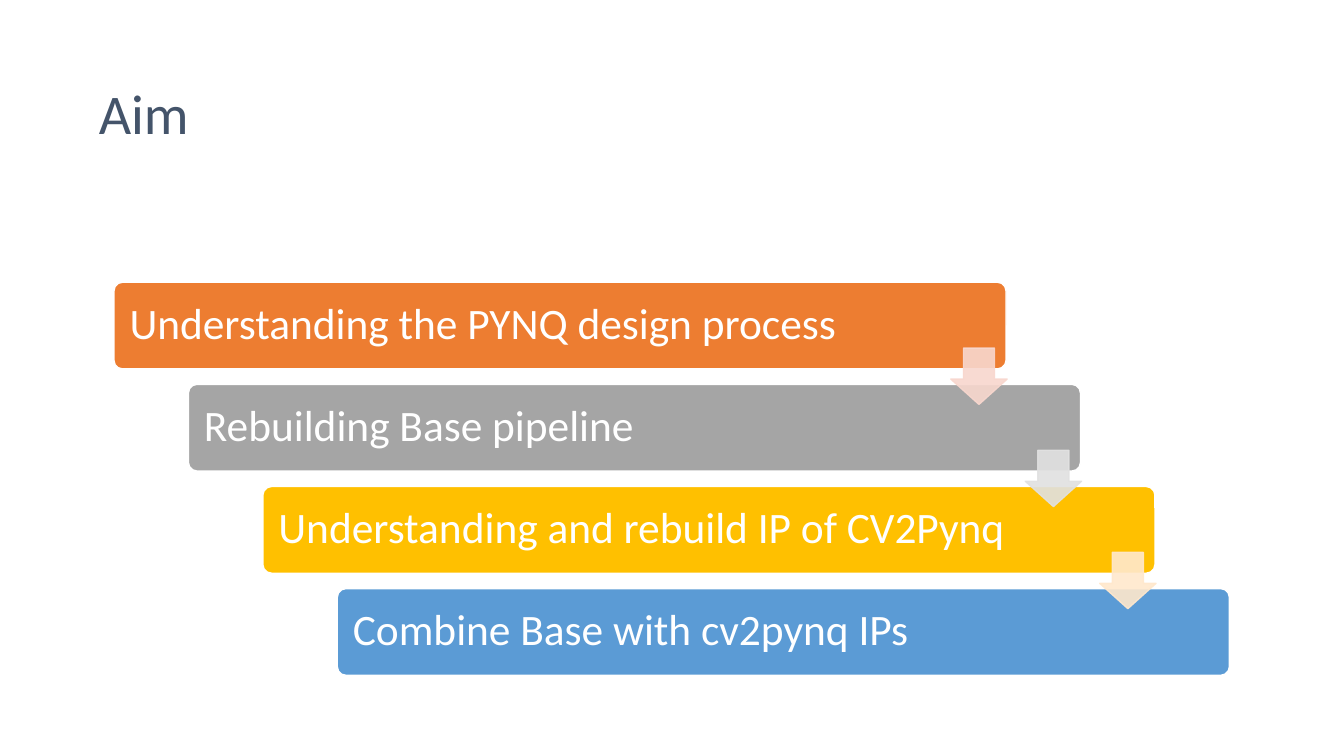
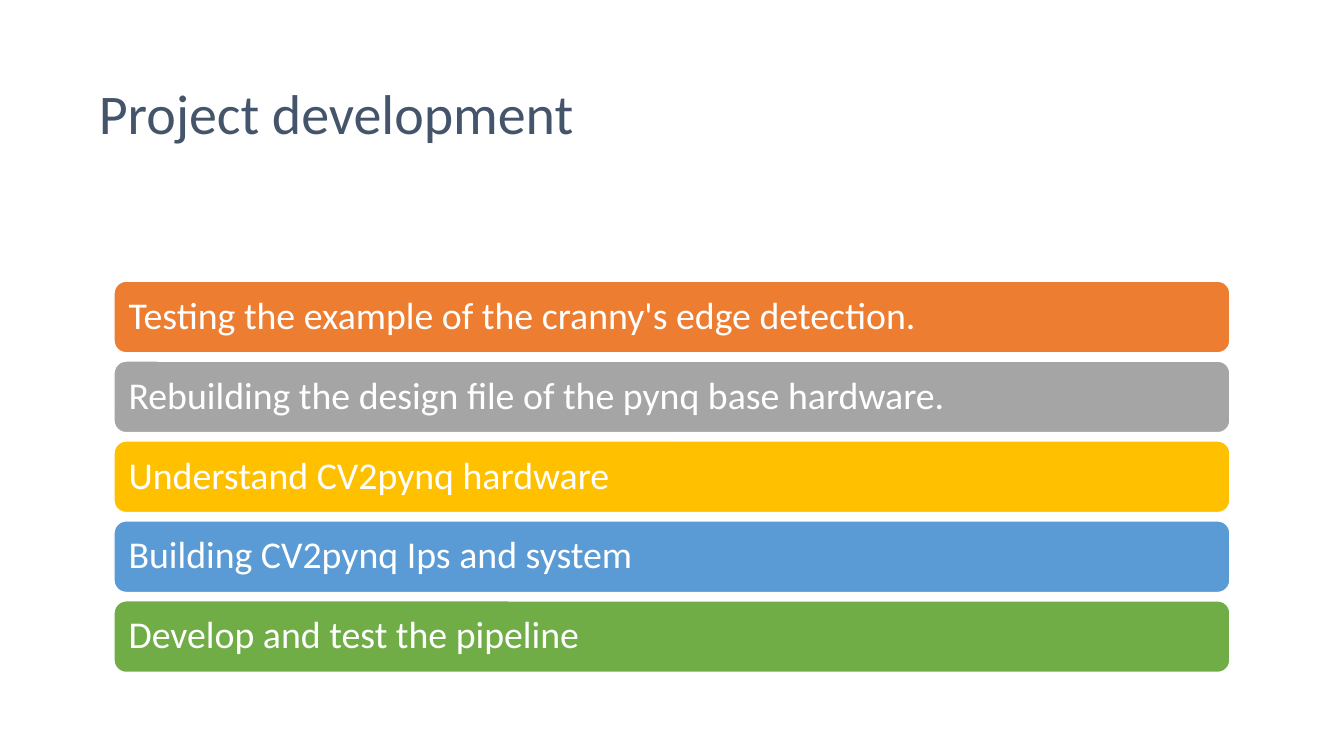
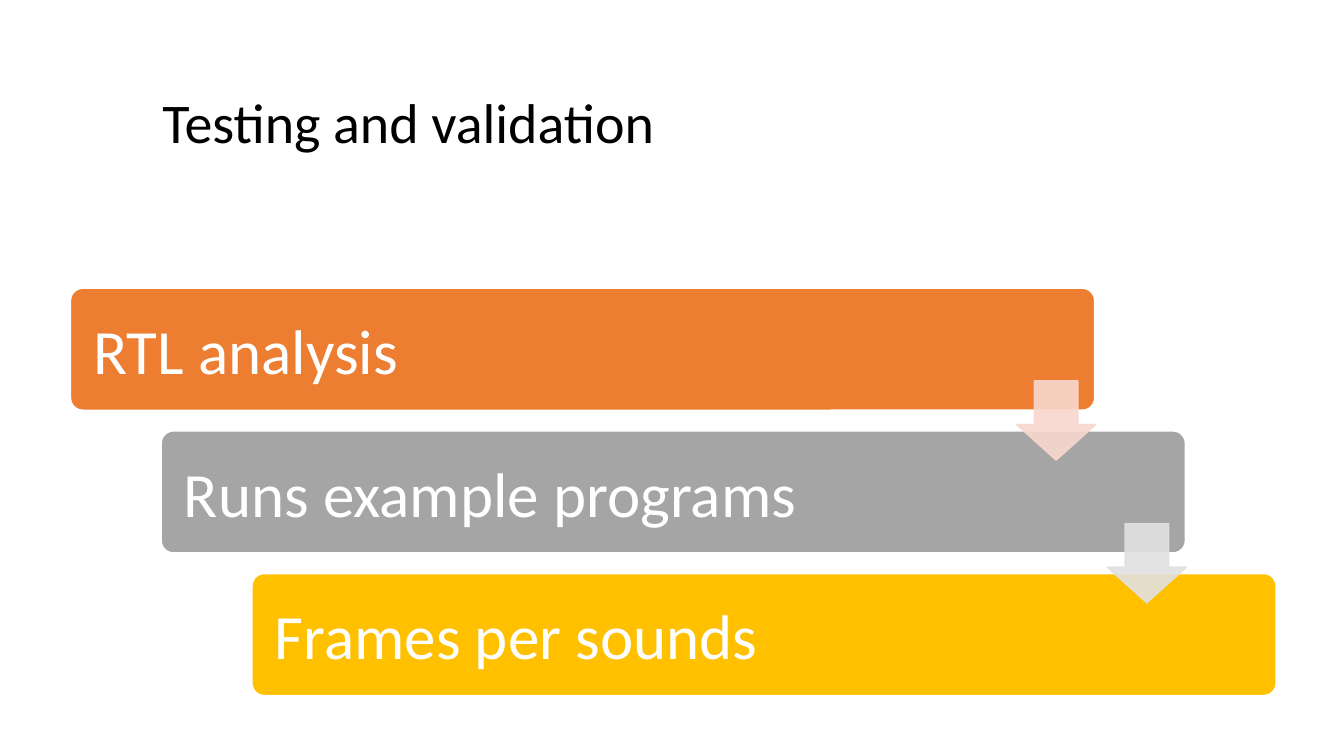
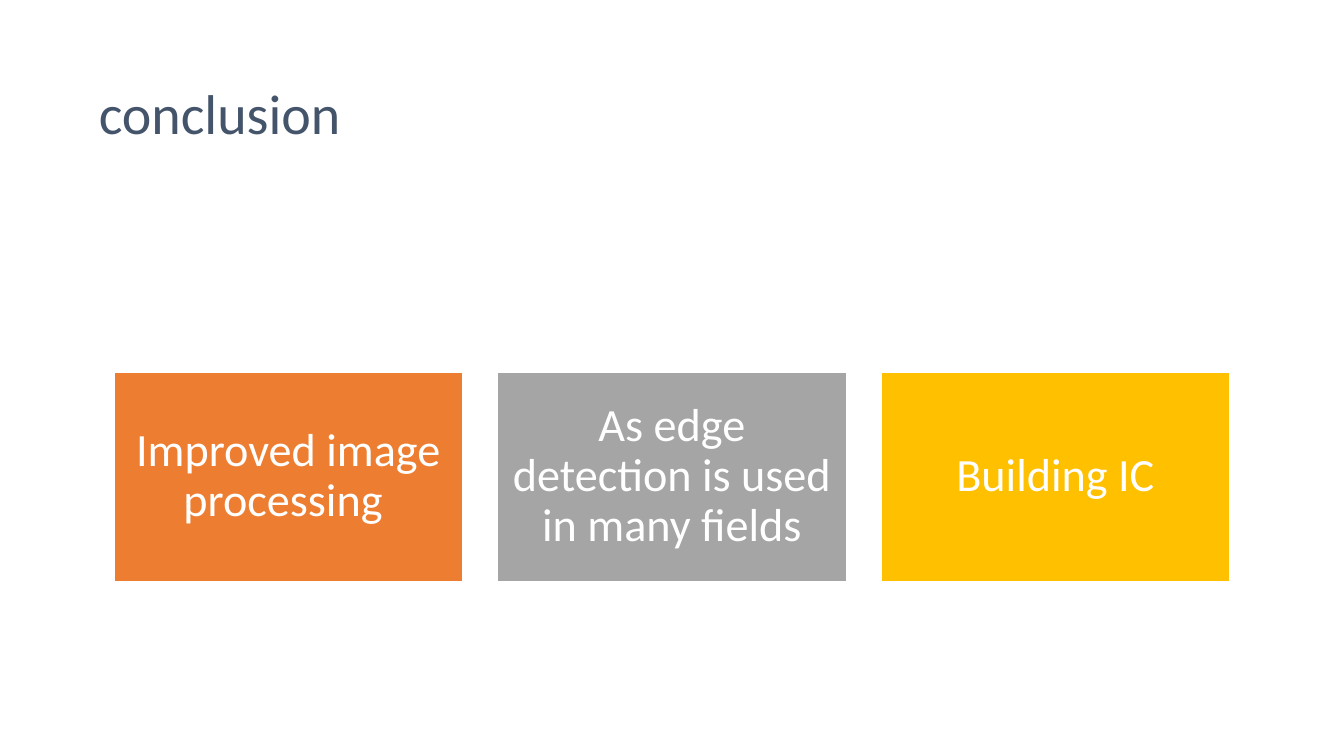
"""Build four project slides: two staircases, a stack of bars and a row of cards."""
import pptx
import pptx.dml.color
import pptx.enum.shapes
import pptx.enum.text
import pptx.oxml.ns
import pptx.util
import lxml.etree

deck = pptx.Presentation()
deck.slide_width = pptx.util.Inches(13.333)
deck.slide_height = pptx.util.Inches(7.5)
COL = deck.slide_width / 100
ROW = deck.slide_height / 100

KIND = pptx.enum.shapes.MSO_SHAPE
SIDE = pptx.enum.text.PP_ALIGN
FILLS = ["ED7D31", "A5A5A5", "FFC000", "5B9BD5", "70AD47"]
TINTS = ["F8D7CE", "E1E1E1", "FFE8CC"]
NAVY, BLACK, WHITE = "44546A", "000000", "FFFFFF"
HEAD = (6.6, 6.67, 86.78, 17.33)


def paint(fill, tone, alpha=100):
    fill.solid()
    fill.fore_color.rgb = pptx.dml.color.RGBColor.from_string(tone)
    if alpha < 100:
        node = fill._xPr.find(".//" + pptx.oxml.ns.qn("a:srgbClr"))
        lxml.etree.SubElement(node, pptx.oxml.ns.qn("a:alpha"), val=str(alpha * 1000))


def write(shape, text, size, tone, side, lead, inset):
    frame = shape.text_frame
    frame.word_wrap = True
    frame.auto_size = pptx.enum.text.MSO_AUTO_SIZE.NONE
    frame.vertical_anchor = pptx.enum.text.MSO_ANCHOR.MIDDLE
    frame.margin_left = frame.margin_right = pptx.util.Inches(inset[0])
    frame.margin_top = frame.margin_bottom = pptx.util.Inches(inset[1])
    para = frame.paragraphs[0]
    para.alignment = side
    para.line_spacing = lead
    run = para.add_run()
    run.text = text
    run.font.name = "Calibri"
    run.font.size = pptx.util.Pt(size)
    paint(run.font.fill, tone)


slides = [
    dict(title="Aim", ink=NAVY, head=HEAD, kind=KIND.ROUNDED_RECTANGLE, round=0.1,
         box=(8.48, 37.33, 66.38, 11.47), step=(5.54, 13.51), size=31, lead=0.9,
         inset=0.13, side=SIDE.LEFT, arrows=True,
         items=["Understanding the PYNQ design process", "Rebuilding Base pipeline",
                "Understanding and rebuild IP of CV2Pynq", "Combine Base with cv2pynq IPs"]),
    dict(title="Project development", ink=NAVY, head=HEAD, kind=KIND.ROUNDED_RECTANGLE, round=0.17,
         box=(8.48, 37.2, 83.03, 9.47), step=(0, 10.57), size=27, lead=0.9,
         inset=0.11, side=SIDE.LEFT, arrows=False,
         items=["Testing the example of the cranny's edge detection.",
                "Rebuilding the design file of the pynq base hardware.",
                "Understand CV2pynq hardware", "Building CV2pynq Ips and system",
                "Develop and test the pipeline"]),
    dict(title="Testing and validation", ink=BLACK, head=(11.33, 5.07, 79.73, 22.93),
         kind=KIND.ROUNDED_RECTANGLE, round=0.1,
         box=(5.25, 38.13, 76.2, 16.13), step=(6.75, 18.87), size=45, lead=1.0,
         inset=0.19, side=SIDE.LEFT, arrows=True,
         items=["RTL analysis", "Runs example programs", "Frames per sounds"]),
    dict(title="conclusion", ink=NAVY, head=HEAD, kind=KIND.RECTANGLE, round=None,
         box=(8.48, 49.2, 25.95, 27.73), step=(28.54, 0), size=33, lead=0.9,
         inset=0.14, side=SIDE.CENTER, arrows=False,
         items=["Improved image processing ", "As edge detection is used in many fields",
                "Building IC"]),
]

for plan in slides:
    slide = deck.slides.add_slide(deck.slide_layouts[5])
    title = slide.shapes.title
    left, top, wide, high = plan["head"]
    title.left, title.top = int(left * COL), int(top * ROW)
    title.width, title.height = int(wide * COL), int(high * ROW)
    write(title, plan["title"], 40, plan["ink"], SIDE.LEFT, 0.9, (0.1, 0.05))

    left, top, wide, high = plan["box"]
    right, down = plan["step"]
    parts = []
    for i, text in enumerate(plan["items"]):
        box = slide.shapes.add_shape(plan["kind"], int((left + i * right) * COL),
                                     int((top + i * down) * ROW), int(wide * COL), int(high * ROW))
        if plan["round"]:
            box.adjustments[0] = plan["round"]
        write(box, text, plan["size"], WHITE, plan["side"], plan["lead"], (plan["inset"],) * 2)
        parts.append((box, FILLS[i], WHITE, 100))

    if plan["arrows"]:
        for (box, *rest), tint in zip(parts[:-1], TINTS):
            edge = int(0.65 * box.height)
            arrow = slide.shapes.add_shape(KIND.DOWN_ARROW, box.left + box.width - edge + int(0.08 * COL),
                                           box.top + int(0.76 * box.height), edge, edge)
            arrow.adjustments[0], arrow.adjustments[1] = 0.55, 0.45
            parts.append((arrow, tint, tint, 90))

    for shape, tone, rim, alpha in parts:
        shape.shadow.inherit = False
        paint(shape.fill, tone, alpha)
        paint(shape.line.fill, rim, alpha)
        shape.line.width = pptx.util.Pt(1)

deck.save("out.pptx")
